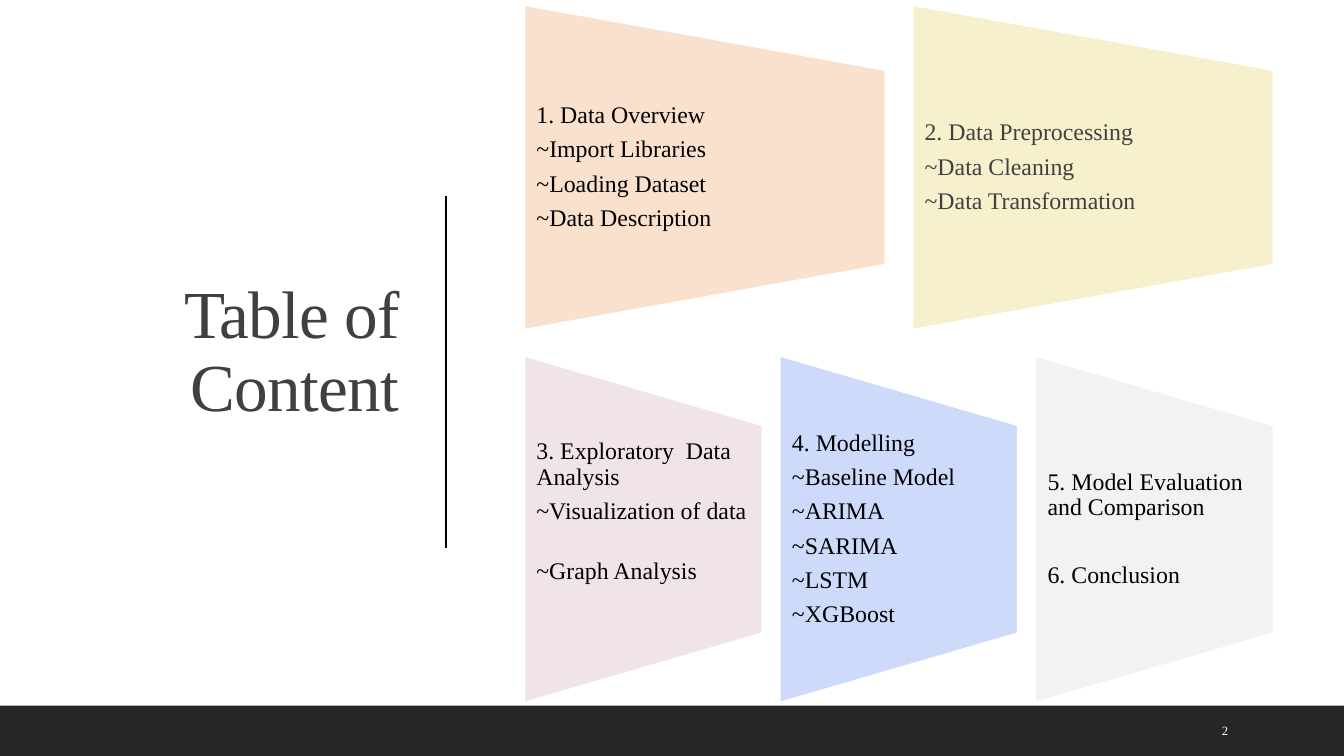
from lxml import etree
from pptx import Presentation
from pptx.dml.color import RGBColor
from pptx.enum.shapes import MSO_CONNECTOR, MSO_SHAPE
from pptx.enum.text import MSO_ANCHOR, PP_ALIGN
from pptx.oxml.ns import qn
from pptx.util import Inches, Pt

RECTANGLE = MSO_SHAPE.RECTANGLE
TRAPEZOID = MSO_SHAPE.FLOWCHART_MANUAL_OPERATION
STRAIGHT = MSO_CONNECTOR.STRAIGHT
MIDDLE = MSO_ANCHOR.MIDDLE
LEFT, RIGHT = PP_ALIGN.LEFT, PP_ALIGN.RIGHT

BLACK = RGBColor(0x00, 0x00, 0x00)
WHITE = RGBColor(0xFF, 0xFF, 0xFF)
CHARCOAL = RGBColor(0x26, 0x26, 0x26)
DARK_GRAY = RGBColor(0x40, 0x40, 0x40)
PEACH = RGBColor(0xFA, 0xE1, 0xCE)
CREAM = RGBColor(0xF6, 0xF0, 0xCD)
ROSE = RGBColor(0xF0, 0xE4, 0xE7)
PERIWINKLE = RGBColor(0xCE, 0xDA, 0xFA)
PALE_GRAY = RGBColor(0xF2, 0xF2, 0xF2)

FONT = "Times New Roman"
CARDS_LEFT, CARDS_WIDTH = 5.2, 7.43

TOP_CARDS = [
    dict(fill=PEACH, lines=["1. Data Overview", "~Import Libraries",
                            "~Loading Dataset", "~Data Description"]),
    dict(fill=CREAM, color=DARK_GRAY,
         lines=["2. Data Preprocessing", "~Data Cleaning", "~Data Transformation"]),
]
BOTTOM_CARDS = [
    dict(fill=ROSE, last_gap=18.5, bottom_inset=0.35,
         lines=["3. Exploratory  Data Analysis", "~Visualization of data",
                "~Graph Analysis"]),
    dict(fill=PERIWINKLE, lines=["4. Modelling", "~Baseline Model", "~ARIMA",
                                 "~SARIMA", "~LSTM", "~XGBoost"]),
    dict(fill=PALE_GRAY, last_gap=24,
         lines=["5. Model Evaluation and Comparison", "6. Conclusion"]),
]


def add_text(slide, lines, left, top, width, height, *, size, color, align=LEFT,
             line_spacing=0.9, space_after=0, last_gap=0, character_spacing=0,
             insets=(0.1, 0.05, 0.1, 0.05)):
    """Add a text box; last_gap is the space in points before its last line."""
    box = slide.shapes.add_textbox(Inches(left), Inches(top), Inches(width), Inches(height))
    frame = box.text_frame
    frame.word_wrap = True
    frame.vertical_anchor = MIDDLE
    (frame.margin_left, frame.margin_top,
     frame.margin_right, frame.margin_bottom) = map(Inches, insets)
    for index, line in enumerate(lines):
        paragraph = frame.paragraphs[0] if index == 0 else frame.add_paragraph()
        paragraph.alignment = align
        paragraph.line_spacing = line_spacing
        paragraph.space_after = Pt(space_after)
        run = paragraph.add_run()
        run.text = line
        run.font.name = FONT
        run.font.size = Pt(size)
        run.font.color.rgb = color
        if character_spacing:
            run.font._element.set("spc", str(round(character_spacing * 100)))
    if last_gap:
        paragraph.space_before = Pt(last_gap)


def add_filled_shape(slide, kind, left, top, width, height, fill):
    shape = slide.shapes.add_shape(kind, Inches(left), Inches(top),
                                   Inches(width), Inches(height))
    shape.shadow.inherit = False
    shape.fill.solid()
    shape.fill.fore_color.rgb = fill
    shape.line.fill.background()
    return shape


def add_divider(slide, x, top, bottom):
    divider = slide.shapes.add_connector(STRAIGHT, Inches(x), Inches(top),
                                         Inches(x), Inches(bottom))
    divider.line.color.rgb = BLACK
    divider.line.width = Pt(1.5)
    etree.SubElement(divider._element.spPr, qn("a:effectLst"))


def add_card(slide, left, top, width, height, *, fill, lines, color=BLACK,
             last_gap=0, bottom_inset=0):
    """Add a trapezoid on its side, with text in its middle three fifths."""
    shift = (width - height) / 2
    trapezoid = add_filled_shape(slide, TRAPEZOID, left + shift, top - shift,
                                 height, width, fill)
    trapezoid.rotation = 270
    trapezoid.line.color.rgb = WHITE
    trapezoid.line.width = Pt(1.25)
    add_text(slide, lines, left, top + height / 5, width, height * 0.6,
             size=17, color=color, space_after=6, last_gap=last_gap,
             insets=(0.12, 0, 0.12, bottom_inset))


def add_card_row(slide, cards, top, width, height):
    step = (CARDS_WIDTH - width) / (len(cards) - 1)
    for index, card in enumerate(cards):
        add_card(slide, CARDS_LEFT + index * step, top, width, height, **card)


def main():
    presentation = Presentation()
    presentation.slide_width = Inches(13.33)
    presentation.slide_height = Inches(7.5)
    slide = presentation.slides.add_slide(presentation.slide_layouts[6])

    add_text(slide, ["Table of Content"], 0.7, 0.7, 3.36, 5.61, size=48,
             color=DARK_GRAY, align=RIGHT, character_spacing=-0.5)
    add_divider(slide, 4.42, 1.94, 5.44)
    add_filled_shape(slide, RECTANGLE, 0, 7, 13.33, 0.5, CHARCOAL)
    add_card_row(slide, TOP_CARDS, top=0.05, width=3.58, height=3.22)
    add_card_row(slide, BOTTOM_CARDS, top=3.53, width=2.36, height=3.44)
    add_text(slide, ["2"], 12.02, 7.05, 0.85, 0.4, size=9, color=WHITE, line_spacing=1)

    presentation.save("out.pptx")


if __name__ == "__main__":
    main()
